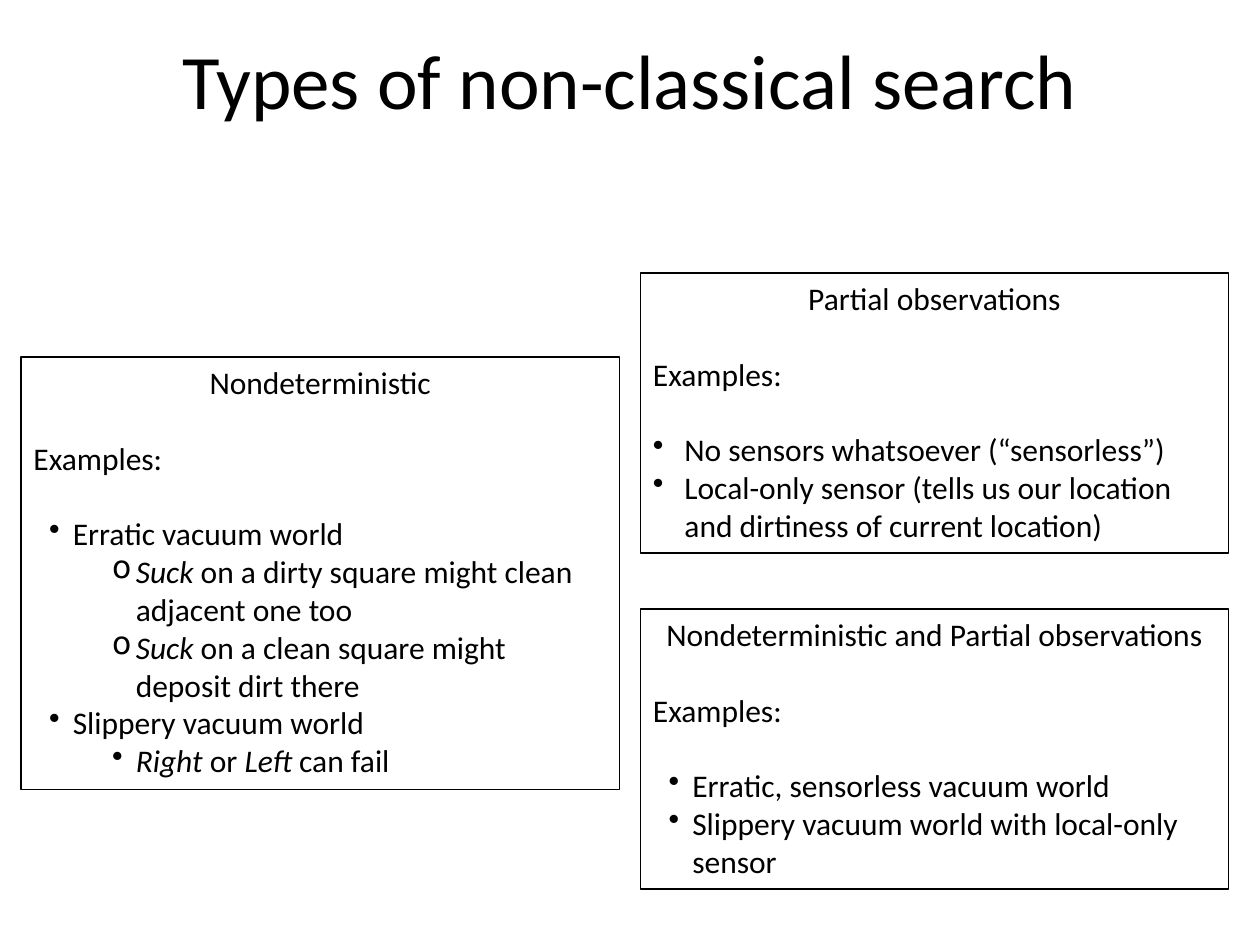
from pptx import Presentation
from pptx.dml.color import RGBColor
from pptx.enum import shapes, text
from pptx.util import Pt
from lxml import etree

INK = {"text": "000000", "line": "000000"}
FONT = "Calibri"
SIZE = 18
GAP = 21.6
TITLE = "Types of non-classical search"

TOP = {"mark": "•", "left": 22.5, "hang": 13.5}
SUB = {"mark": "•", "left": 58.5, "hang": 13.5, "level": 1}
RING = {**SUB, "mark": "o"}
WIDE = {"mark": "•", "left": 18, "hang": 18}

BOXES = [
    ("Nondeterministic", (12, 204, 342, 247), [
        ("Erratic vacuum world", TOP),
        ("*Suck* on a dirty square might clean adjacent one too", RING),
        ("*Suck* on a clean square might deposit dirt there", RING),
        ("Slippery vacuum world", TOP),
        ("*Right* or *Left* can fail", SUB),
    ]),
    ("Partial observations", (366, 156, 336, 160), [
        ("No sensors whatsoever (“sensorless”)", WIDE),
        ("Local-only sensor (tells us our location "
         "and dirtiness of current location)", WIDE),
    ]),
    ("Nondeterministic and Partial observations", (366, 348, 336, 160), [
        ("Erratic, sensorless vacuum world", TOP),
        ("Slippery vacuum world with local-only sensor", TOP),
    ]),
]


def write(para, words, size=SIZE, center=False, before=0,
          mark=None, left=0, hang=0, level=0):
    para.alignment = text.PP_ALIGN.CENTER if center else text.PP_ALIGN.LEFT
    para.space_before = Pt(before)
    para.level = level
    if mark:
        props = para._p.get_or_add_pPr()
        props.set("marL", str(Pt(left)))
        props.set("indent", str(-Pt(hang)))
        space = etree.QName(props).namespace
        etree.SubElement(props, f"{{{space}}}buChar").set("char", mark)
    for pos, part in enumerate(words.split("*")):
        if part:
            run = para.add_run()
            run.text = part
            run.font.name = FONT
            run.font.size = Pt(size)
            run.font.italic = pos % 2 == 1
            run.font.color.rgb = RGBColor.from_string(INK["text"])


def add_box(slide, head, place, items):
    box = slide.shapes.add_shape(shapes.MSO_SHAPE.RECTANGLE, *map(Pt, place))
    box.shadow.inherit = False
    box.fill.background()
    box.line.color.rgb = RGBColor.from_string(INK["line"])
    box.line.width = Pt(0.75)
    frame = box.text_frame
    frame.word_wrap = True
    frame.vertical_anchor = text.MSO_ANCHOR.TOP
    write(frame.paragraphs[0], head, center=True)
    write(frame.add_paragraph(), "Examples:", before=GAP)
    for pos, (words, form) in enumerate(items):
        write(frame.add_paragraph(), words, before=0 if pos else GAP, **form)


def main():
    deck = Presentation()
    deck.slide_width, deck.slide_height = Pt(720), Pt(540)
    slide = deck.slides.add_slide(deck.slide_layouts[6])
    for box in BOXES:
        add_box(slide, *box)
    title = slide.shapes.add_textbox(Pt(36), Pt(0), Pt(648), Pt(90)).text_frame
    title.word_wrap = True
    title.vertical_anchor = text.MSO_ANCHOR.MIDDLE
    write(title.paragraphs[0], TITLE, size=44, center=True)
    deck.save("out.pptx")


if __name__ == "__main__":
    main()
